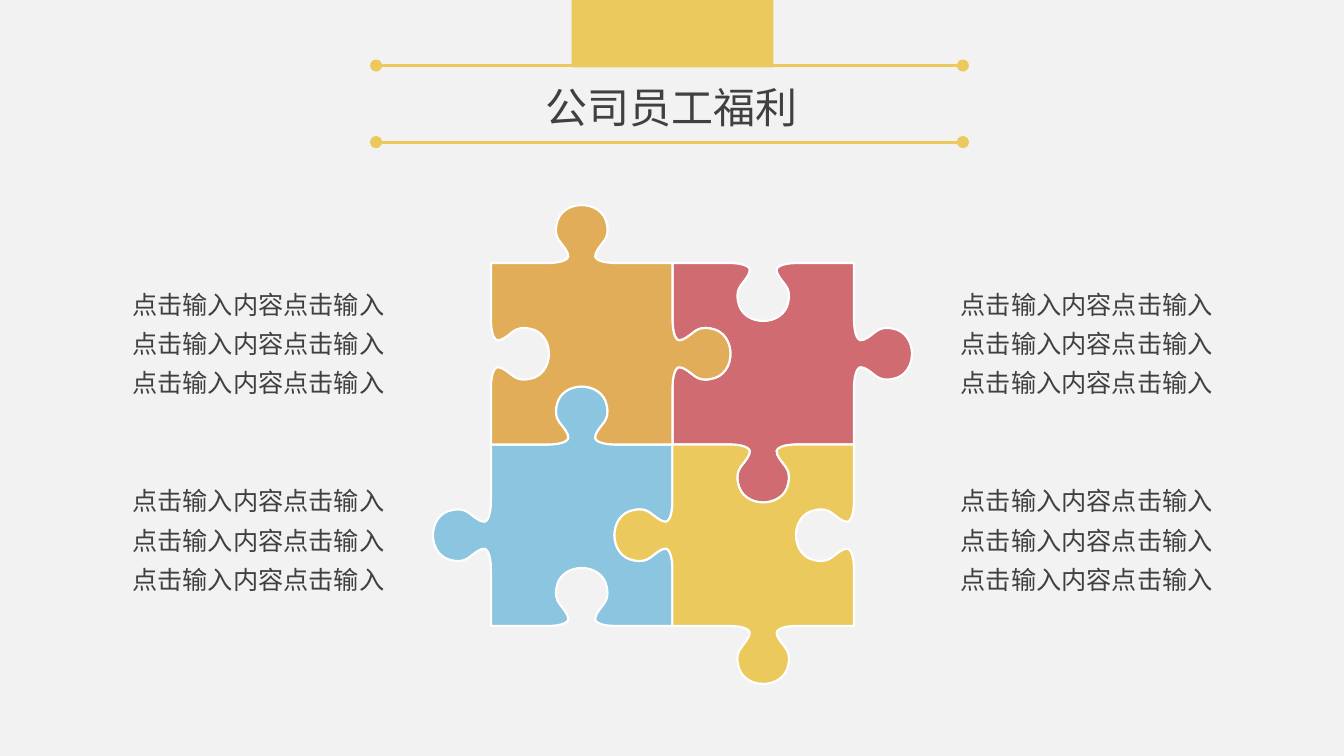
import pptx
import pptx.util
import pptx.dml.color
import pptx.enum.text
import pptx.enum.shapes
import pptx.oxml.ns

Inches = pptx.util.Inches
Pt = pptx.util.Pt
qn = pptx.oxml.ns.qn
ALIGN = pptx.enum.text.PP_ALIGN
ANCHOR = pptx.enum.text.MSO_ANCHOR
SHAPE = pptx.enum.shapes.MSO_SHAPE

COLORS = {
    "background": "F2F2F2", "text": "404040", "outline": "FFFFFF",
    "yellow": "ECC95D", "blue": "8CC5DF", "red": "CF6B71", "orange": "E1AD58",
}
TITLE = "公司员工福利"
BODY_LINES = ["点击输入内容点击输入"] * 3
BODY_COLUMNS = [(1.18, ALIGN.RIGHT), (9.43, ALIGN.LEFT)]
BODY_TOPS = [2.73, 4.68]

RULE_LEFT, RULE_RIGHT, DOT = 3.79, 9.49, 0.12
RULE_HEIGHTS = [1.41, 0.65]

PUZZLE_LEFT, PUZZLE_TOP, SIDE = 4.87, 2.61, 1.8
OUT, IN = 1, -1
PIECES = [
    {"color": "blue", "column": 0, "row": 1, "edges": (OUT, IN, IN, OUT)},
    {"color": "red", "column": 1, "row": 0, "edges": (IN, OUT, OUT, IN)},
    {"color": "orange", "column": 0, "row": 0, "edges": (OUT, OUT, IN, IN)},
    {"color": "yellow", "column": 1, "row": 1, "edges": (IN, IN, OUT, OUT)},
]
DIRECTIONS = [(1, 0), (0, 1), (-1, 0), (0, -1)]
HALF_TAB = [
    (-0.35, 0), (-0.16, 0), (-0.11, 0.05), (-0.14, 0.1),
    (-0.19, 0.21), (-0.28, 0.23), (-0.25, 0.38), (-0.21, 0.64),
]
TAB = HALF_TAB + [(-along, out) for along, out in reversed(HALF_TAB)]
EDGE = TAB + [(SIDE / 2, 0)]


def rgb(name):
    return pptx.dml.color.RGBColor.from_string(COLORS[name])


def write(box, lines, size=18, font="Noto Sans CJK JP", color="text",
          align=ALIGN.LEFT, spacing=None, anchor=ANCHOR.TOP):
    frame = box.text_frame
    frame.word_wrap = False
    frame.auto_size = pptx.enum.text.MSO_AUTO_SIZE.SHAPE_TO_FIT_TEXT
    frame.vertical_anchor = anchor
    for index, line in enumerate(lines):
        para = frame.paragraphs[0] if index == 0 else frame.add_paragraph()
        para.alignment = align
        para.line_spacing = spacing
        span = para.add_run()
        span.text = line
        span.font.size = Pt(size)
        span.font.name = font
        span.font.color.rgb = rgb(color)
        latin = span._r.rPr.find(qn("a:latin"))
        latin.addnext(latin.makeelement(qn("a:ea"), {"typeface": font}))


def paint(shape, fill, outline=None):
    shape.shadow.inherit = False
    shape.fill.solid()
    shape.fill.fore_color.rgb = rgb(fill)
    if outline:
        shape.line.color.rgb = rgb(outline)
        shape.line.width = Pt(1.5)
    else:
        shape.line.fill.background()


def add_block(page, kind, left, top, width, height):
    shape = page.shapes.add_shape(
        kind, Inches(left), Inches(top), Inches(width), Inches(height))
    paint(shape, "yellow")


def add_rule(page, y):
    rule = page.shapes.add_connector(
        pptx.enum.shapes.MSO_CONNECTOR.STRAIGHT,
        Inches(RULE_RIGHT), Inches(y), Inches(RULE_LEFT), Inches(y))
    rule.line.color.rgb = rgb("yellow")
    rule.line.width = Pt(2)
    properties = rule._element.spPr
    properties.append(properties.makeelement(qn("a:effectLst"), {}))
    for left in (RULE_LEFT - DOT, RULE_RIGHT):
        add_block(page, SHAPE.OVAL, left, y - DOT / 2, DOT, DOT)


def piece_outline(column, row, edges):
    x = PUZZLE_LEFT + column * SIDE
    y = PUZZLE_TOP + row * SIDE
    points = [(x, y)]
    for (dx, dy), sign in zip(DIRECTIONS, edges):
        for along, out in EDGE:
            distance = SIDE / 2 + along
            points.append((x + dx * distance + dy * out * sign,
                           y + dy * distance - dx * out * sign))
        x, y = x + dx * SIDE, y + dy * SIDE
    return [(Inches(x), Inches(y)) for x, y in points]


def round_tabs(shape):
    segments = list(shape._element.iter(qn("a:lnTo")))
    for edge in range(len(DIRECTIONS)):
        start = edge * len(EDGE) + 1
        for first in range(start, start + len(TAB) - 1, 3):
            group = segments[first:first + 3]
            curve = group[0].makeelement(qn("a:cubicBezTo"), {})
            group[0].addprevious(curve)
            for segment in group:
                curve.append(segment[0])
                segment.getparent().remove(segment)


def add_piece(page, color, column, row, edges):
    points = piece_outline(column, row, edges)
    builder = page.shapes.build_freeform(*points[0])
    builder.add_line_segments(points[1:], close=True)
    shape = builder.convert_to_shape()
    round_tabs(shape)
    paint(shape, color, "outline")


def main():
    deck = pptx.Presentation()
    deck.slide_width, deck.slide_height = Inches(13.33), Inches(7.5)
    page = deck.slides.add_slide(deck.slide_layouts[5])
    page.background.fill.solid()
    page.background.fill.fore_color.rgb = rgb("background")

    title = page.shapes.title
    title.left, title.top = Inches(5.31), Inches(0.75)
    title.width, title.height = Inches(2.71), Inches(0.61)
    write(title, [TITLE], size=30, font="Noto Sans CJK SC",
          align=ALIGN.CENTER, anchor=ANCHOR.MIDDLE)

    add_block(page, SHAPE.RECTANGLE, 5.67, 0, 2, 0.67)
    for y in RULE_HEIGHTS:
        add_rule(page, y)
    for piece in PIECES:
        add_piece(page, **piece)
    for left, align in BODY_COLUMNS:
        for top in BODY_TOPS:
            box = page.shapes.add_textbox(
                Inches(left), Inches(top), Inches(2.73), Inches(1.25))
            write(box, BODY_LINES, align=align, spacing=Pt(28))
    deck.save("out.pptx")


if __name__ == "__main__":
    main()
